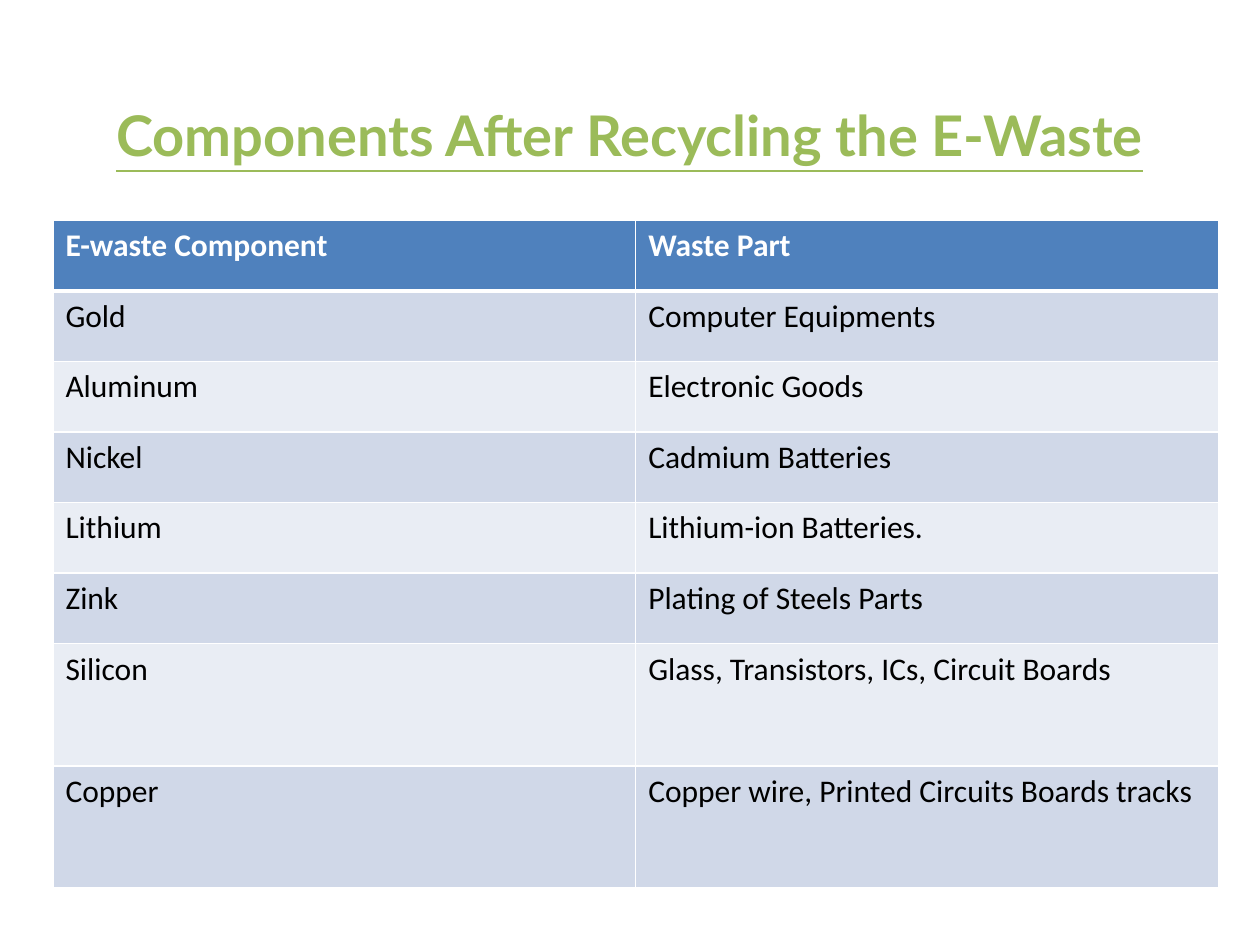
from lxml.etree import SubElement
from pptx import Presentation
from pptx.dml.color import RGBColor
from pptx.enum.text import PP_ALIGN
from pptx.oxml.ns import qn
from pptx.util import Inches, Pt

TITLE = "Components After Recycling the E-Waste"
ROWS = [
    ("E-waste Component", "Waste Part"),
    ("Gold", "Computer Equipments"),
    ("Aluminum", "Electronic Goods"),
    ("Nickel", "Cadmium Batteries"),
    ("Lithium", "Lithium-ion Batteries."),
    ("Zink", "Plating of Steels Parts"),
    ("Silicon", "Glass, Transistors, ICs, Circuit Boards"),
    ("Copper", "Copper wire, Printed Circuits Boards tracks"),
]
HEIGHTS = [0.56] * 6 + [0.97] * 2
HEADER_FILL = "4F81BD"
BANDS = ("E9EDF4", "D0D8E8")


def color(value):
    return RGBColor.from_string(value)


def style(p, font, size, value, bold):
    p.font.name = font
    p.font.size = Pt(size)
    p.font.bold = bold
    p.font.color.rgb = color(value)


def add_border(cell, side, width):
    ln = SubElement(cell._tc.get_or_add_tcPr(), qn(f"a:{side}"), w=str(Pt(width)))
    SubElement(SubElement(ln, qn("a:solidFill")), qn("a:srgbClr"), val="FFFFFF")


def add_title(slide):
    sp = slide.shapes.add_textbox(Inches(0), Inches(0.75), Inches(10), Inches(0.75))
    tf = sp.text_frame
    tf.word_wrap = True
    p = tf.paragraphs[0]
    p.text = TITLE
    p.alignment = PP_ALIGN.CENTER
    style(p, "Lato", 32, "9BBB59", True)
    p.runs[0].font.underline = True


def add_components(slide):
    table = slide.shapes.add_table(
        len(ROWS), 2, Inches(0.42), Inches(1.75), Inches(9.25), Inches(sum(HEIGHTS))
    ).table
    for i, (texts, height) in enumerate(zip(ROWS, HEIGHTS)):
        header = i == 0
        table.rows[i].height = Inches(height)
        for j, text in enumerate(texts):
            cell = table.cell(i, j)
            p = cell.text_frame.paragraphs[0]
            p.text = text
            style(p, "Calibri", 18, "FFFFFF" if header else "000000", header)
            for side in ("lnL", "lnR", "lnT", "lnB"):
                heavy = (i, side) in ((0, "lnB"), (1, "lnT"))
                add_border(cell, side, 3 if heavy else 1)
            cell.fill.solid()
            cell.fill.fore_color.rgb = color(HEADER_FILL if header else BANDS[i % 2])


def main():
    prs = Presentation()
    prs.slide_width, prs.slide_height = Inches(10), Inches(7.5)
    slide = prs.slides.add_slide(prs.slide_layouts[6])
    add_title(slide)
    add_components(slide)
    prs.save("out.pptx")


if __name__ == "__main__":
    main()
